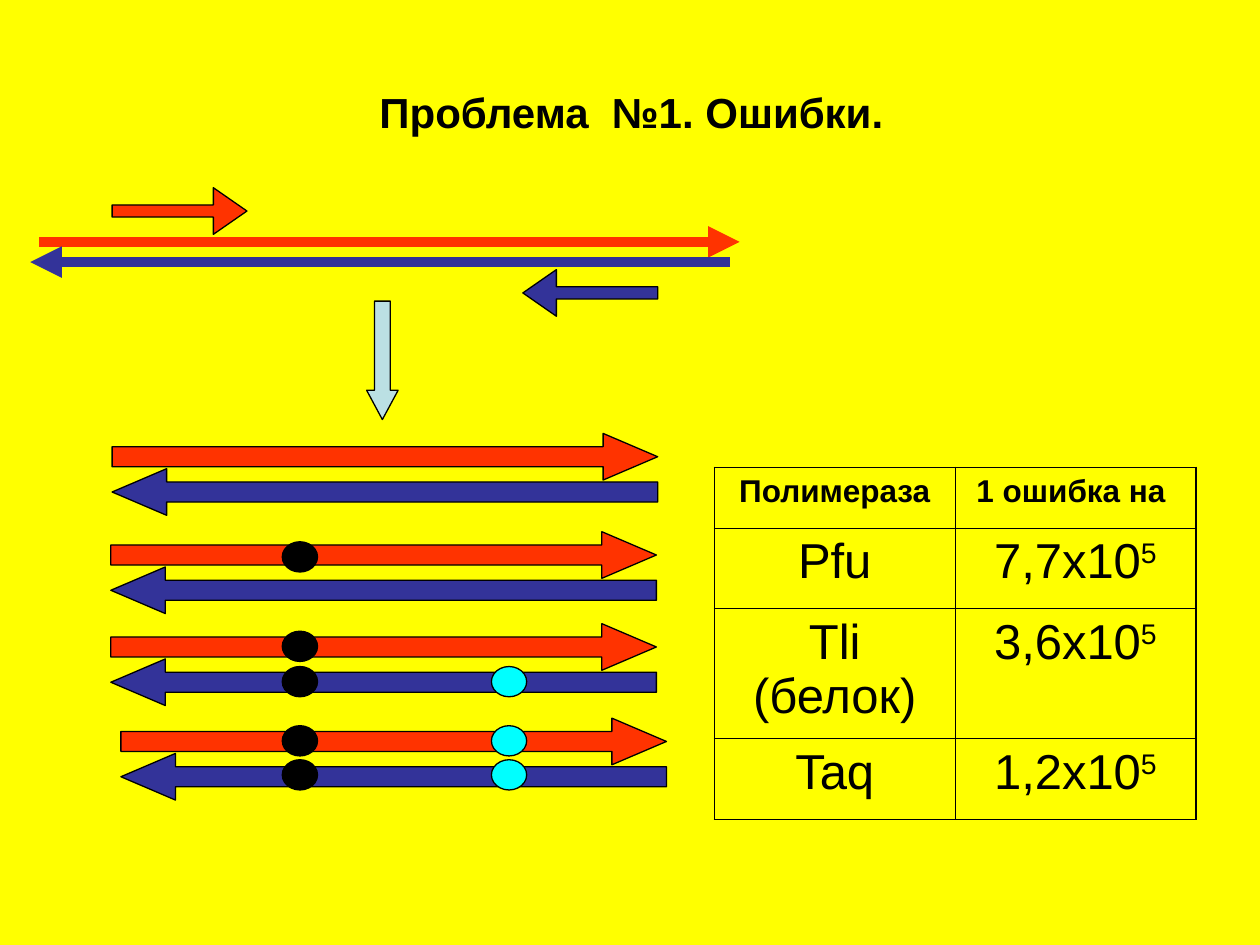
from lxml import etree
from pptx import Presentation
from pptx.dml.color import RGBColor
from pptx.enum.shapes import MSO_CONNECTOR, MSO_SHAPE
from pptx.enum.text import MSO_AUTO_SIZE, PP_ALIGN
from pptx.oxml.ns import qn
from pptx.util import Inches, Pt

RIGHT_ARROW = MSO_SHAPE.RIGHT_ARROW
LEFT_ARROW = MSO_SHAPE.LEFT_ARROW
DOWN_ARROW = MSO_SHAPE.DOWN_ARROW
OVAL = MSO_SHAPE.OVAL
STRAIGHT = MSO_CONNECTOR.STRAIGHT
FIT_SHAPE = MSO_AUTO_SIZE.SHAPE_TO_FIT_TEXT
CENTER = PP_ALIGN.CENTER
RIGHT = PP_ALIGN.RIGHT

YELLOW = RGBColor(0xFF, 0xFF, 0x00)
BLACK = RGBColor(0x00, 0x00, 0x00)
RED = RGBColor(0xFF, 0x33, 0x00)
BLUE = RGBColor(0x33, 0x33, 0x99)
PALE_BLUE = RGBColor(0xBB, 0xE0, 0xE3)
CYAN = RGBColor(0x00, 0xFF, 0xFF)


def write(p, text, size=28, bold=False, align=CENTER, superscript=False):
    p.alignment = align
    r = p.add_run()
    r.text = text
    r.font.name = "Arial"
    r.font.size = Pt(size)
    r.font.bold = bold
    r.font.color.rgb = BLACK
    if superscript:
        r.font._element.set("baseline", "30000")


class Deck:
    outline = 0.75
    outer_border = 1.08
    inner_border = 0.45

    def __init__(self, prs):
        self.s = prs.slides.add_slide(prs.slide_layouts[6])
        fill = self.s.background.fill
        fill.solid()
        fill.fore_color.rgb = YELLOW

    def title(self, text, x, y, w, h):
        box = self.s.shapes.add_textbox(Inches(x), Inches(y), Inches(w), Inches(h))
        tf = box.text_frame
        tf.word_wrap = False
        tf.auto_size = FIT_SHAPE
        write(tf.paragraphs[0], text, size=24, bold=True, align=RIGHT)

    def shape(self, kind, x, y, w, h, color, adjust=()):
        sp = self.s.shapes.add_shape(kind, Inches(x), Inches(y), Inches(w), Inches(h))
        sp.shadow.inherit = False
        sp.fill.solid()
        sp.fill.fore_color.rgb = color
        sp.line.color.rgb = BLACK
        sp.line.width = Pt(self.outline)
        for i, value in enumerate(adjust):
            sp.adjustments[i] = value

    def strand(self, x1, x2, y, color):
        line = self.s.shapes.add_connector(
            STRAIGHT, Inches(x1), Inches(y), Inches(x2), Inches(y))
        line.line.color.rgb = color
        line.line.width = Pt(6)
        ln = line.line._get_or_add_ln()
        etree.SubElement(ln, qn("a:tailEnd"), type="triangle")
        etree.SubElement(line._element.spPr, qn("a:effectLst"))

    def border(self, cell, side, width):
        tcPr = cell._tc.get_or_add_tcPr()
        ln = etree.SubElement(tcPr, qn(f"a:ln{side}"), w=str(Pt(width)))
        fill = etree.SubElement(ln, qn("a:solidFill"))
        etree.SubElement(fill, qn("a:srgbClr"), val=str(BLACK))

    def table(self, rows, x, y, col_width, heights):
        last_row, last_col = len(rows) - 1, len(rows[0]) - 1
        frame = self.s.shapes.add_table(
            len(rows), len(rows[0]), Inches(x), Inches(y),
            Inches(col_width * len(rows[0])), Inches(sum(heights)))
        table = frame.table
        table.first_row = False
        table.horz_banding = False
        for column in table.columns:
            column.width = Inches(col_width)
        for i, (texts, height) in enumerate(zip(rows, heights)):
            table.rows[i].height = Inches(height)
            for j, text in enumerate(texts):
                cell = table.cell(i, j)
                p = cell.text_frame.paragraphs[0]
                base, _, power = text.partition("^")
                if i == 0:
                    write(p, base, size=18, bold=True)
                else:
                    write(p, base)
                if power:
                    write(p, power, superscript=True)
                edges = {"L": j == 0, "R": j == last_col,
                         "T": i == 0, "B": i == last_row}
                for side, outer in edges.items():
                    self.border(cell, side,
                                self.outer_border if outer else self.inner_border)
                cell.fill.background()


def main():
    prs = Presentation()
    prs.slide_width = Inches(10)
    prs.slide_height = Inches(7.5)
    deck = Deck(prs)

    deck.title("Проблема  №1. Ошибки.", 2.89, 0.64, 4.22, 0.5)
    deck.table([("Полимераза", "1 ошибка на "),
                ("Pfu", "7,7х10^5"),
                ("Tli (белок)", "3,6х10^5"),
                ("Taq", "1,2x10^5")],
               5.67, 3.71, 1.91, (0.48, 0.64, 0.64, 0.64))

    deck.strand(0.31, 5.87, 1.92, RED)
    deck.strand(5.79, 0.24, 2.08, BLUE)
    primer = (0.26, 0.72)
    deck.shape(RIGHT_ARROW, 0.89, 1.49, 1.07, 0.37, RED, primer)
    deck.shape(LEFT_ARROW, 4.15, 2.14, 1.07, 0.37, BLUE, primer)
    deck.shape(DOWN_ARROW, 2.91, 2.39, 0.25, 0.94, PALE_BLUE, (0.5, 0.93))

    product = (0.43, 1.17)
    for x, y in ((0.89, 3.44), (0.88, 4.22), (0.88, 4.95), (0.96, 5.7)):
        deck.shape(LEFT_ARROW, x, y + 0.28, 4.33, 0.37, BLUE, product)
        deck.shape(RIGHT_ARROW, x, y, 4.33, 0.37, RED, product)

    errors = ((2.24, BLACK, (4.3, 5.01, 5.29, 5.76, 6.03)),
              (3.9, CYAN, (5.29, 5.76, 6.03)))
    for x, color, tops in errors:
        for y in tops:
            deck.shape(OVAL, x, y, 0.28, 0.24, color)

    prs.save("out.pptx")


if __name__ == "__main__":
    main()
